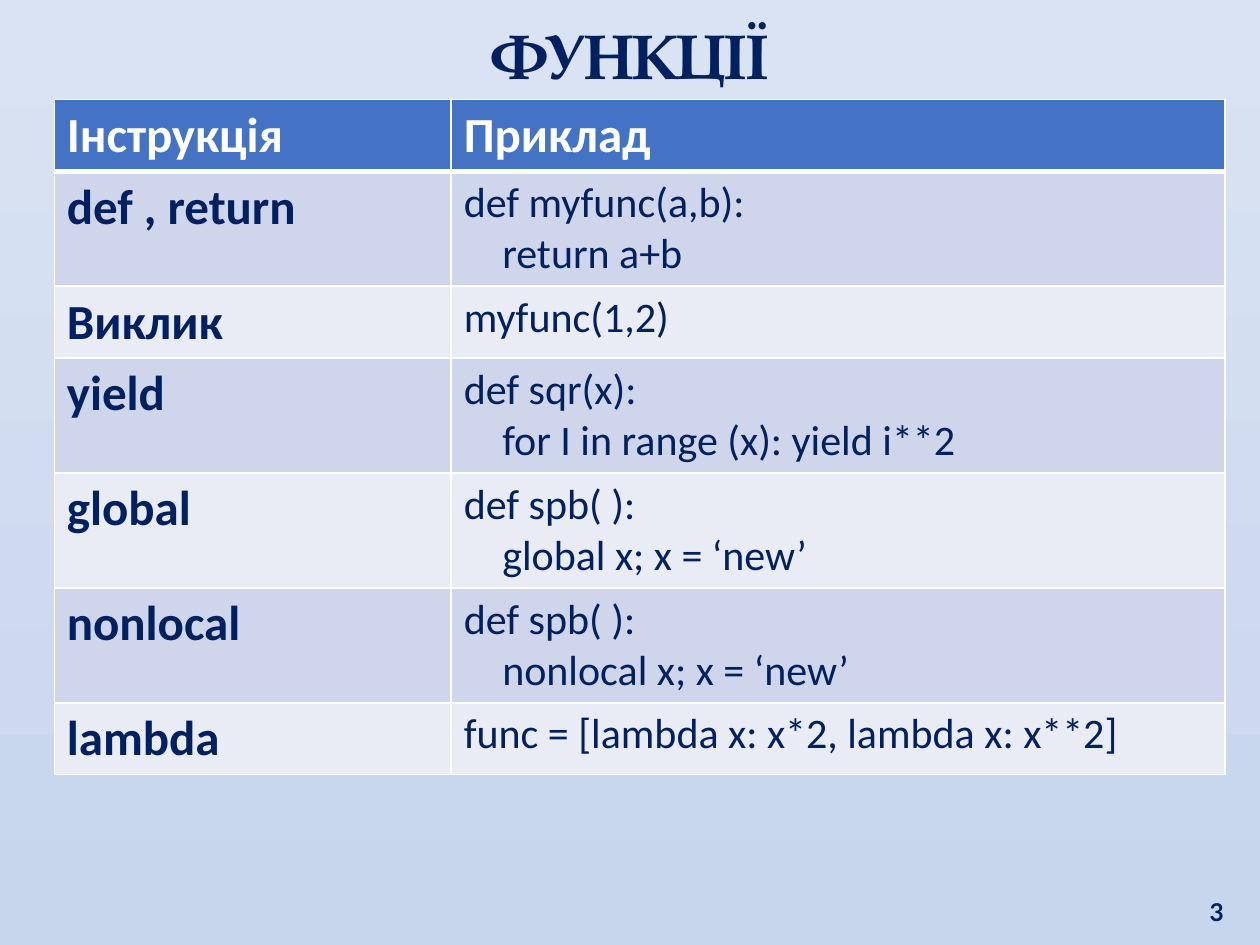
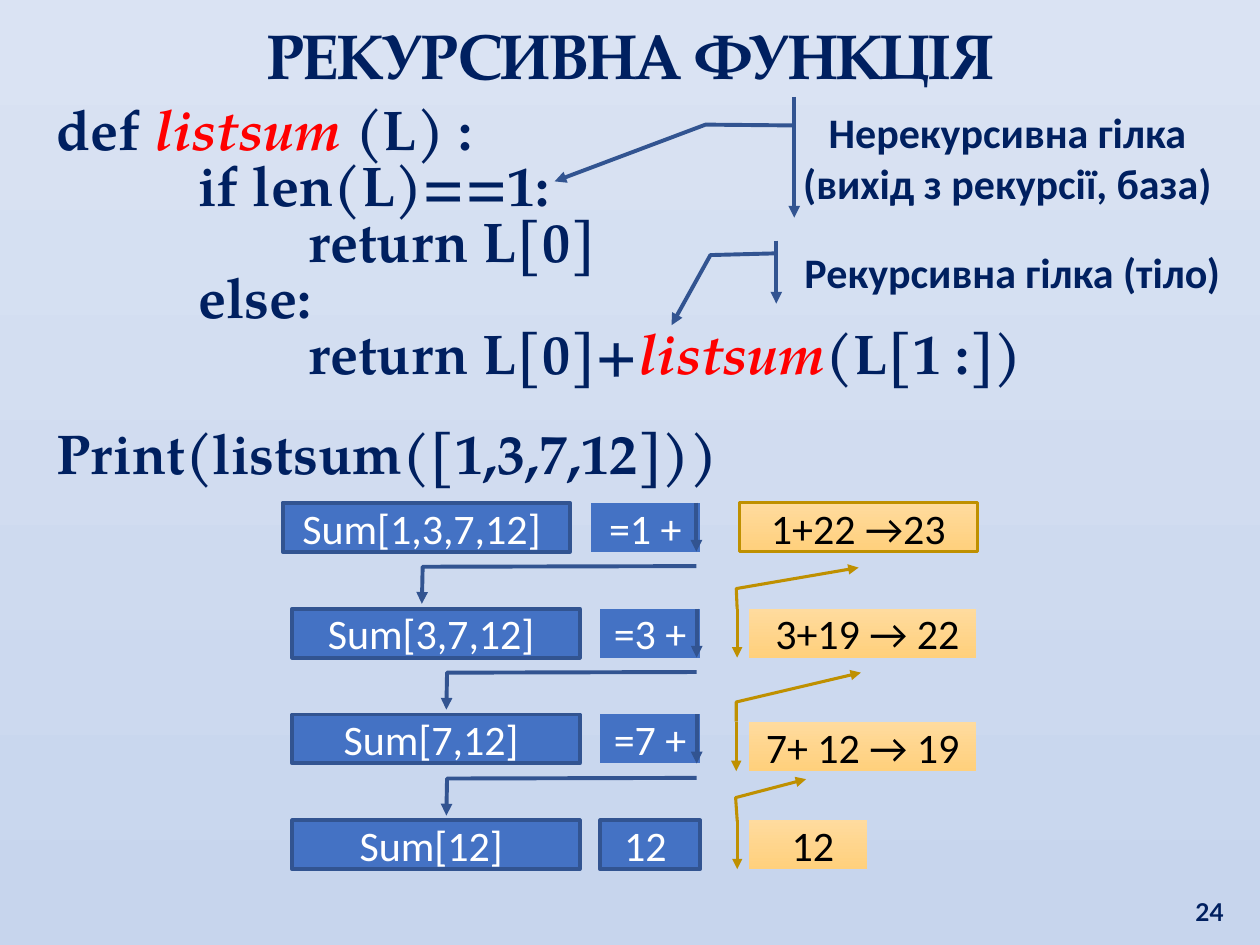
from lxml import etree
from pptx import Presentation
from pptx.dml.color import RGBColor
from pptx.enum.shapes import MSO_SHAPE
from pptx.enum.text import MSO_ANCHOR, PP_ALIGN
from pptx.oxml.ns import qn
from pptx.util import Pt

RECT = MSO_SHAPE.RECTANGLE
CALLOUT = MSO_SHAPE.LINE_CALLOUT_2_ACCENT_BAR
LEFT, CENTER, RIGHT = PP_ALIGN.LEFT, PP_ALIGN.CENTER, PP_ALIGN.RIGHT
TOP, MIDDLE, BOTTOM = MSO_ANCHOR.TOP, MSO_ANCHOR.MIDDLE, MSO_ANCHOR.BOTTOM

COLORS = {
    "sky_top": "DAE3F3", "sky_bottom": "C7D5ED", "navy": "002060", "red": "FF0000",
    "white": "FFFFFF", "black": "000000", "blue": "4472C4", "blue_line": "325491",
    "sand_top": "FFDB9E", "sand_bottom": "FFD07C", "sand_line": "BF9000",
    "band_dark": "CFD5EA", "band_light": "E9EBF5",
}
SERIF, SANS, NUMBER = "TeX Gyre Pagella", "Calibri", "Lato"

FUNCTION_ROWS = [
    ("def , return", ["def myfunc(a,b):", "return a+b"]),
    ("Виклик", ["myfunc(1,2)"]),
    ("yield", ["def sqr(x):", "for I in range (x): yield i**2"]),
    ("global", ["def spb( ):", "global x; x = ‘new’"]),
    ("nonlocal", ["def spb( ):", "nonlocal x; x = ‘new’"]),
    ("lambda", ["func = [lambda x: x*2, lambda x: x**2]"]),
]
# Each code line: indent in points, then its pieces; "listsum" is highlighted
LISTSUM_CODE = [
    (0, ["def ", "listsum", " (L) :"]),
    (81, ["if len(L)==1:"]),
    (144, ["return L[0]"]),
    (81, ["else:"]),
    (144, ["return L[0]+", "listsum", "(L[1 :])"]),
]
CALL_LEADER = [1.294, 0.967, 1.307, -1.536, 2.062, -1.543]
# Each level: call (left, text), addend (left, width, text),
# result (left, top, width, text, leader)
LEVELS = [
    ((161.5, "Sum[1,3,7,12] "), (337.5, 62.5, "=1 +"),
     (422.5, 287.3, 136, "1+22 →23", None)),
    ((167, "Sum[3,7,12] "), (343, 57, "=3 +"),
     (428, 347.8, 130, " 3+19 → 22", [0.007, -0.052, -0.409, -0.056, -0.838, 0.482])),
    ((167, "Sum[7,12] "), (343, 57, "=7 +"),
     (428, 412.6, 130, "7+ 12 → 19", [-0.01, -0.056, -0.409, -0.056, -1.009, 0.492])),
    ((167, "Sum[12] "), (343, 57, "12 "),
     (428, 468.7, 67.7, " 12", [0.024, -0.099, -0.461, -0.113, -0.838, 0.482])),
]


def rgb(name):
    return RGBColor.from_string(COLORS[name])


def gradient(fill, top, bottom):
    fill.gradient()
    fill.gradient_angle = 270
    for stop, name, position in zip(fill.gradient_stops, (top, bottom), (0, 1)):
        stop.color.rgb = rgb(name)
        stop.position = position


def add_run(p, text, size=24, font=SANS, color="navy", bold=False, italic=False):
    r = p.add_run()
    r.text = text
    r.font.size, r.font.name = Pt(size), font
    r.font.bold, r.font.italic = bold, italic
    r.font.color.rgb = rgb(color)


def write(tf, lines, align=LEFT, anchor=TOP, spacing=None, **font):
    """Lines are (indent, pieces) pairs."""
    tf.word_wrap = True
    tf.vertical_anchor = anchor
    for i, (indent, pieces) in enumerate(lines):
        p = tf.paragraphs[0] if i == 0 else tf.add_paragraph()
        p.alignment = align
        if spacing:
            p.line_spacing = Pt(spacing)
        if indent:
            p._p.get_or_add_pPr().set("marL", str(Pt(indent)))
        for piece in pieces:
            marked = {"color": "red", "italic": True} if piece == "listsum" else {}
            add_run(p, piece, **{**font, **marked})


def add_text(s, box, lines, **style):
    tf = s.shapes.add_textbox(*map(Pt, box)).text_frame
    write(tf, lines, **style)


def new_slide(prs, title, number):
    s = prs.slides.add_slide(prs.slide_layouts[6])
    gradient(s.background.fill, "sky_top", "sky_bottom")
    add_text(s, (8.6, 5.8, 702.7, 51), [(0, [title])], align=CENTER,
             size=36, font=SERIF, bold=True)
    add_text(s, (671.8, 496.8, 34.6, 36), [(0, [number])], align=RIGHT, anchor=BOTTOM,
             size=14, font=NUMBER, bold=True)
    return s


def add_box(s, box, text, line, width, fill=None, leader=None, **font):
    """A rectangle, or an accent callout with an arrow when a leader is given."""
    sp = s.shapes.add_shape(CALLOUT if leader else RECT, *map(Pt, box))
    sp.shadow.inherit = False
    for i, value in enumerate(leader or []):
        sp.adjustments[i] = value
    if fill == "sand":
        gradient(sp.fill, "sand_top", "sand_bottom")
    elif fill:
        sp.fill.solid()
        sp.fill.fore_color.rgb = rgb(fill)
    else:
        sp.fill.background()
    sp.line.color.rgb = rgb(line)
    sp.line.width = Pt(width)
    if leader:
        etree.SubElement(sp.line._get_or_add_ln(), qn("a:tailEnd"), type="triangle")
    write(sp.text_frame, [(0, [text])], align=CENTER, anchor=MIDDLE, **font)


def style_cell(cell, fill, lines, bottom=1, **font):
    write(cell.text_frame, lines, **font)
    tcPr = cell._tc.get_or_add_tcPr()
    for side, width in (("lnL", 1), ("lnR", 1), ("lnT", 1), ("lnB", bottom)):
        ln = etree.SubElement(tcPr, qn("a:" + side), w=str(Pt(width)))
        solid = etree.SubElement(ln, qn("a:solidFill"))
        etree.SubElement(solid, qn("a:srgbClr"), val=COLORS["white"])
    cell.fill.solid()
    cell.fill.fore_color.rgb = rgb(fill)


def add_function_table(s):
    heights = [41] + [41 if len(code) == 1 else 65.7 for _, code in FUNCTION_ROWS]
    table = s.shapes.add_table(len(heights), 2, Pt(31), Pt(56.9),
                               Pt(669), Pt(sum(heights))).table
    for column, width in zip(table.columns, (226.8, 442.2)):
        column.width = Pt(width)
    for row, height in zip(table.rows, heights):
        row.height = Pt(height)
    for col, heading in enumerate(("Інструкція", "Приклад")):
        style_cell(table.cell(0, col), "blue", [(0, [heading])], bottom=3,
                   size=28, color="white", bold=True)
    for row, (name, code) in enumerate(FUNCTION_ROWS, 1):
        band = "band_dark" if row % 2 else "band_light"
        style_cell(table.cell(row, 0), band, [(0, [name])], size=28, bold=True)
        style_cell(table.cell(row, 1), band,
                   [(22 * i, [line]) for i, line in enumerate(code)])


def add_recursion_diagram(s):
    last = len(LEVELS) - 1
    for i, (call, addend, result) in enumerate(LEVELS):
        top, height = 287.3 + 60.5 * i, 28
        blue = {"line": "blue_line", "width": 2.25, "fill": "blue", "color": "white"}
        x, width, text = addend
        add_box(s, (x, top, width, height), text,
                leader=CALL_LEADER if i < last else None, **blue)
        x, text = call
        add_box(s, (x, top, 164.2, height), text, **blue)
        x, y, width, text, leader = result
        add_box(s, (x, y, width, height), text, "sand_line", 1.75,
                fill="sand", leader=leader, color="black")


def main():
    prs = Presentation()
    prs.slide_width, prs.slide_height = Pt(720), Pt(540)

    # Function statements
    add_function_table(new_slide(prs, "ФУНКЦІЇ", "3"))

    # Recursive function: code, call and branch notes
    s = new_slide(prs, "РЕКУРСИВНА ФУНКЦІЯ", "24")
    code = {"spacing": 32, "size": 32, "font": SERIF, "bold": True}
    add_text(s, (25.2, 56.9, 646.6, 169), LISTSUM_CODE, **code)
    add_text(s, (25.2, 241.9, 646.6, 40), [(0, ["Print(listsum([1,3,7,12]))"])], **code)
    add_recursion_diagram(s)
    note = {"line": "blue_line", "width": 2.25, "bold": True}
    add_box(s, (445, 55.4, 261.4, 69), "Нерекурсивна гілка (вихід з рекурсії, база)",
            leader=[0.237, 0.034, 0.23, -0.16, 0.7, -0.49], **note)
    add_box(s, (447.8, 137.5, 261.4, 36), "Рекурсивна гілка (тіло)",
            leader=[0.203, -0.016, 0.23, -0.16, 1.344, -0.245], **note)

    prs.save("out.pptx")


if __name__ == "__main__":
    main()
